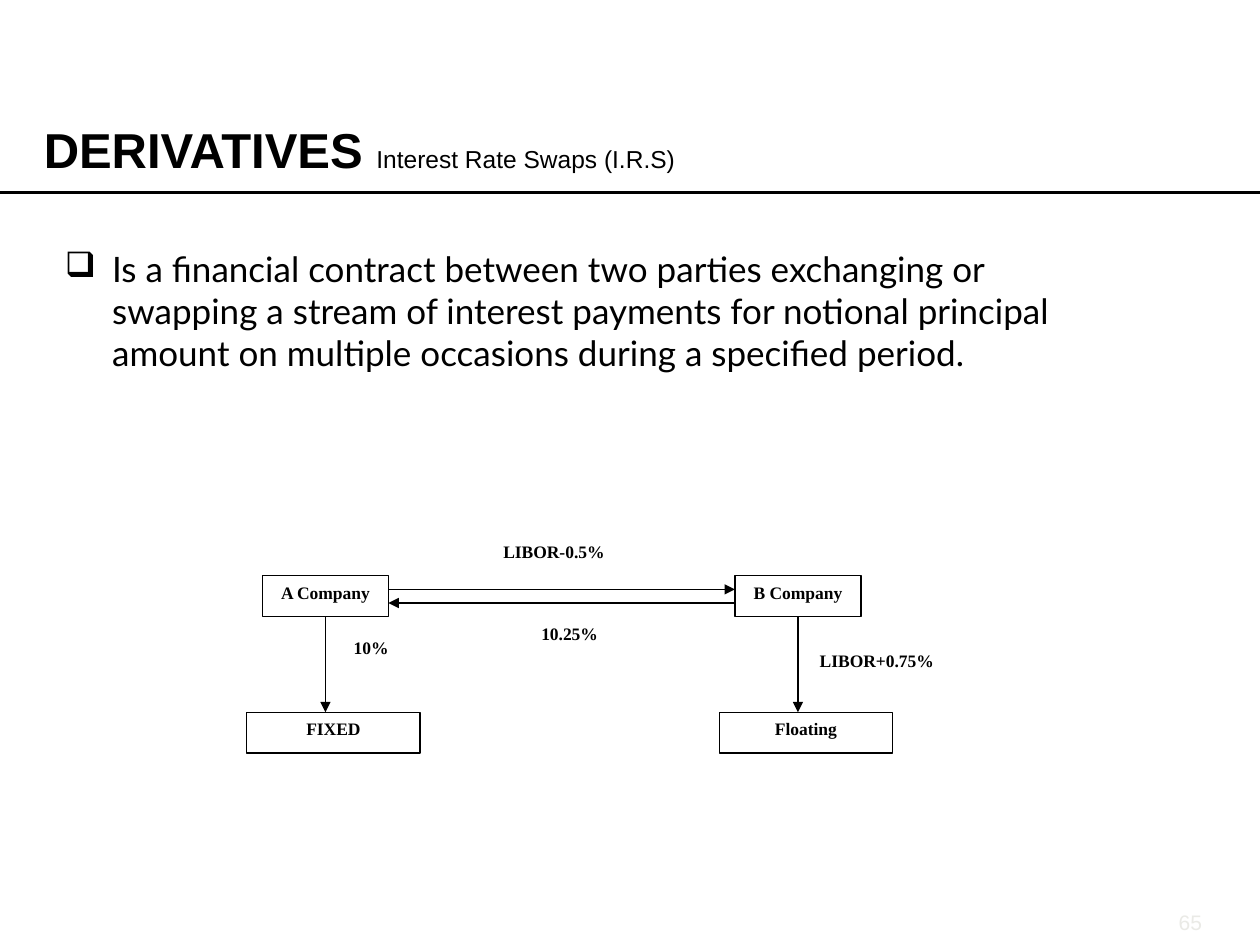
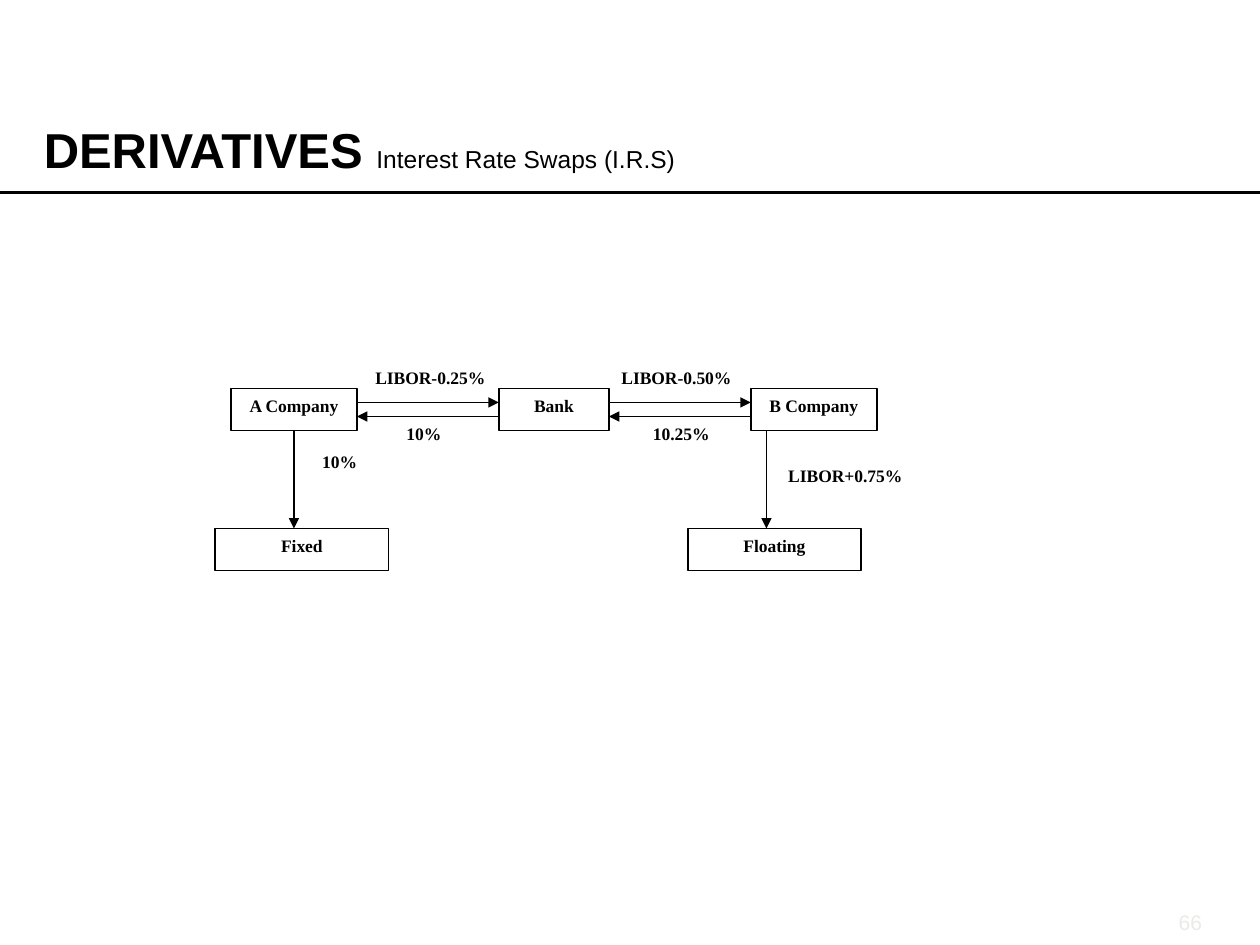
"""Two slides that explain interest rate swaps with cash-flow diagrams."""
from dataclasses import dataclass

from lxml import etree
from pptx import Presentation
from pptx.dml.color import RGBColor
from pptx.enum.shapes import MSO_CONNECTOR, MSO_SHAPE
from pptx.enum.text import MSO_ANCHOR, PP_ALIGN
from pptx.oxml.ns import qn
from pptx.util import Pt

LEFT, CENTER, RIGHT = PP_ALIGN.LEFT, PP_ALIGN.CENTER, PP_ALIGN.RIGHT
TOP = MSO_ANCHOR.TOP
RECT, STRAIGHT = MSO_SHAPE.RECTANGLE, MSO_CONNECTOR.STRAIGHT
BOTTOM_SITE = 2


@dataclass(frozen=True)
class Theme:
    """Colours, fonts and type sizes shared by the slides."""
    ink: RGBColor = RGBColor(0, 0, 0)
    faint: RGBColor = RGBColor(0xEA, 0xEA, 0xE6)
    head_font: str = "Arial"
    body_font: str = "Lato"
    diagram_font: str = "Times New Roman"
    title: float = 28
    subtitle: float = 14
    body: float = 20
    label: float = 10
    number: float = 12


T = Theme()
WIDTH, HEIGHT = 720, 540


def write(p, text, font=T.head_font, size=T.label, color=T.ink, bold=False,
          align=LEFT):
    """Add a formatted run to a paragraph."""
    p.alignment = align
    r = p.add_run()
    r.text = text
    r.font.name, r.font.size, r.font.bold = font, Pt(size), bold
    r.font.color.rgb = color


def frame(sp, inset_x=7.2, inset_y=3.6):
    """Prepare a shape's text frame and return its first paragraph."""
    tf = sp.text_frame
    tf.word_wrap, tf.vertical_anchor = True, TOP
    tf.margin_left = tf.margin_right = Pt(inset_x)
    tf.margin_top = tf.margin_bottom = Pt(inset_y)
    return tf.paragraphs[0]


def add_text(shapes, box, text, **style):
    """Add a text box with one paragraph and return that paragraph."""
    p = frame(shapes.add_textbox(*map(Pt, box)))
    write(p, text, **style)
    return p


def add_line(shapes, start, end, weight, arrow=False):
    """Add a straight line, with an optional arrowhead at its end."""
    c = shapes.add_connector(STRAIGHT, *map(Pt, (*start, *end)))
    c.line.color.rgb, c.line.width = T.ink, Pt(weight)
    if arrow:
        etree.SubElement(c.line._get_or_add_ln(), qn("a:tailEnd"), type="triangle")
    etree.SubElement(c._element.spPr, qn("a:effectLst"))
    return c


def add_header(s, box, rule_y):
    """Fill the title placeholder and draw the rule below it."""
    title = s.shapes.title
    title.left, title.top, title.width, title.height = map(Pt, box)
    p = frame(title, 0, 0)
    p.line_spacing = 0.83
    write(p, "DERIVATIVES ", size=T.title, bold=True)
    write(p, "Interest Rate Swaps (I.R.S)", size=T.subtitle)
    add_line(s.shapes, (0, rule_y), (WIDTH, rule_y), 1.5)


def add_definition(s, box, text):
    """Add the bulleted definition paragraph."""
    p = add_text(s.shapes, box, text, font=T.body_font, size=T.body)
    pPr = p._p.get_or_add_pPr()
    pPr.set("marL", str(Pt(27)))
    pPr.set("indent", str(-Pt(27)))
    etree.SubElement(pPr, qn("a:buChar"), char="❑")


class SwapDiagram:
    """A grouped diagram on a grid whose row 0 is the top of the parties."""

    COL, BOX_ROWS, DEBT_ROW = 9, 3, 10

    def __init__(self, s, left, top, row, weight):
        """Start an empty group at the given origin."""
        self.shapes = s.shapes.add_group_shape().shapes
        self.left, self.top, self.row, self.weight = left, top, row, weight

    def at(self, col, row):
        """Return the point of a grid position."""
        return self.left + col * self.COL, self.top + row * self.row

    def cell(self, col, row, cols):
        """Return the box of a cell that is three rows high."""
        return *self.at(col, row), cols * self.COL, self.BOX_ROWS * self.row

    def box(self, col, row, cols, text):
        """Draw an outlined box with a centred name."""
        sp = self.shapes.add_shape(RECT, *map(Pt, self.cell(col, row, cols)))
        sp.shadow.inherit = False
        sp.fill.background()
        sp.line.color.rgb, sp.line.width = T.ink, Pt(self.weight)
        write(frame(sp), text, font=T.diagram_font, bold=True, align=CENTER)
        return sp

    def label(self, col, row, cols, text, align=CENTER):
        """Write a rate beside an arrow."""
        add_text(self.shapes, self.cell(col, row, cols), text,
                 font=T.diagram_font, bold=True, align=align)

    def arrow(self, start, end):
        """Draw an arrow between two grid positions."""
        return add_line(self.shapes, self.at(*start), self.at(*end),
                        self.weight, arrow=True)

    def exchange(self, left_col, right_col):
        """Draw the two opposite arrows between neighbouring parties."""
        self.arrow((left_col, 1), (right_col, 1))
        self.arrow((right_col, 2), (left_col, 2))

    def companies(self, b_col, fixed):
        """Draw both companies and the debt that each one serves."""
        a = self.box(1, 0, 8, "A Company")
        b = self.box(b_col, 0, 8, "B Company")
        self.box(0, self.DEBT_ROW, 11, fixed)
        self.box(30, self.DEBT_ROW, 11, "Floating")
        for sp, col, middle in ((a, 5, 5), (b, 35, b_col + 4)):
            c = self.arrow((col, self.BOX_ROWS), (col, self.DEBT_ROW))
            if col == middle:
                c.begin_connect(sp, BOTTOM_SITE)
        self.label(6, 4, 4, "10%", LEFT)
        self.label(35, 5, 10, "LIBOR+0.75%")


def direct_swap(s, left, top):
    """Draw the swap made directly between the companies."""
    d = SwapDiagram(s, left, top, row=7.8, weight=0.75)
    d.companies(31, "FIXED")
    d.exchange(9, 31)
    d.label(14, -3, 11, "LIBOR-0.5%")
    d.label(16, 3, 9, "10.25%")


def bank_swap(s, left, top):
    """Draw the swap arranged through a bank."""
    d = SwapDiagram(s, left, top, row=8, weight=1)
    d.companies(34, "Fixed")
    d.box(18, 0, 7, "Bank")
    d.exchange(9, 18)
    d.exchange(25, 34)
    d.label(8.65, -2, 10, "LIBOR-0.25%")
    d.label(25, -2, 10, "LIBOR-0.50%", LEFT)
    d.label(10.75, 2, 5, "10%")
    d.label(27, 2, 6, "10.25%", LEFT)


def new_slide(prs, number):
    """Add a slide with the shared header and page number."""
    s = prs.slides.add_slide(prs.slide_layouts.get_by_name("Title Only"))
    add_header(s, (25, 74, 695, 28), rule_y=110)
    add_text(s.shapes, (622, 516, 72, 22), str(number), size=T.number,
             color=T.faint, align=RIGHT)
    return s


def main():
    """Build and save the presentation."""
    prs = Presentation()
    prs.slide_width, prs.slide_height = Pt(WIDTH), Pt(HEIGHT)

    s = new_slide(prs, 65)
    add_definition(s, (30, 138, 612, 330),
                   "Is a financial contract between two parties exchanging or "
                   "swapping a stream of interest payments for notional principal "
                   "amount on multiple occasions during a specified period.")
    direct_swap(s, 141, 329)

    s = new_slide(prs, 66)
    bank_swap(s, 123, 222)

    prs.save("out.pptx")


if __name__ == "__main__":
    main()
